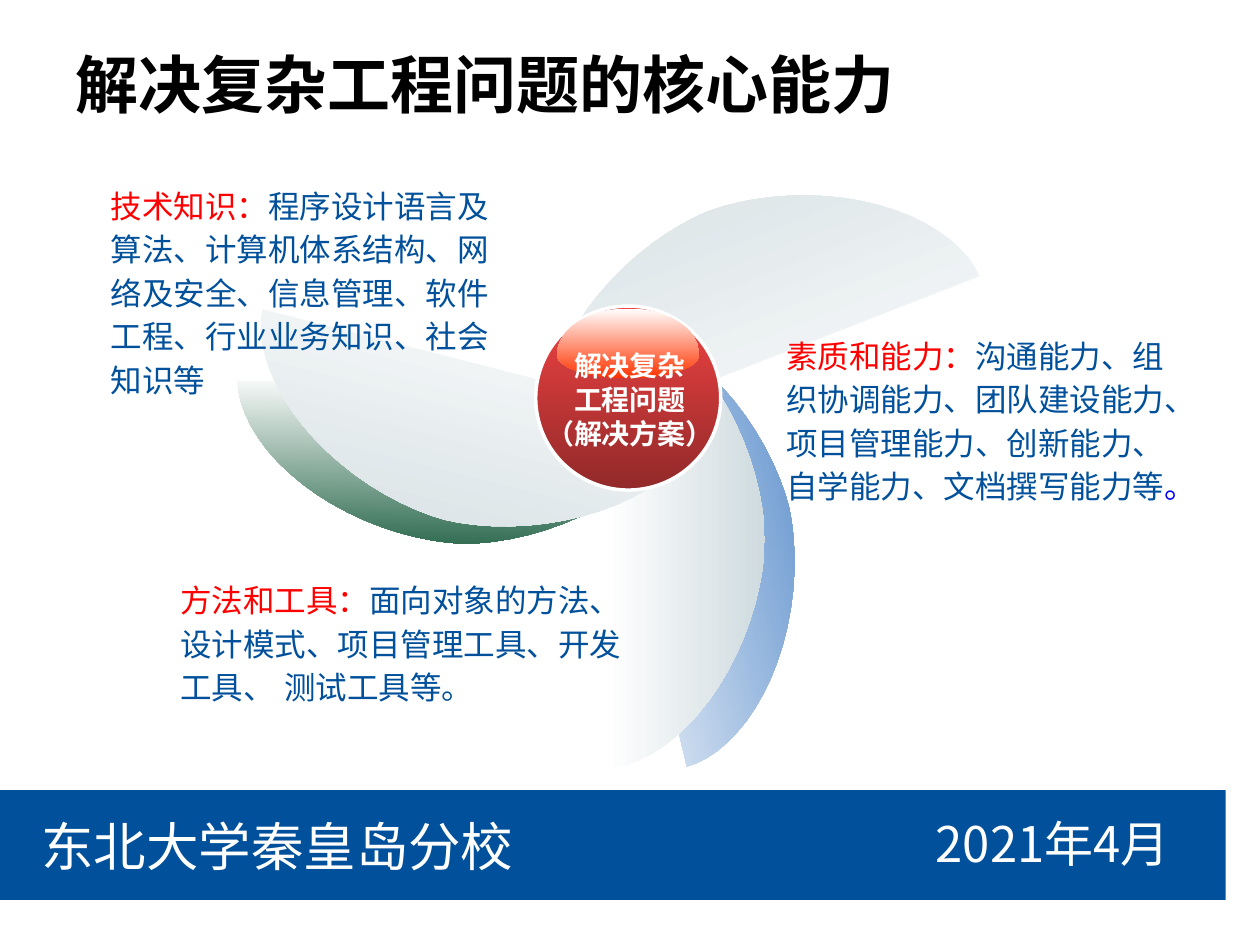
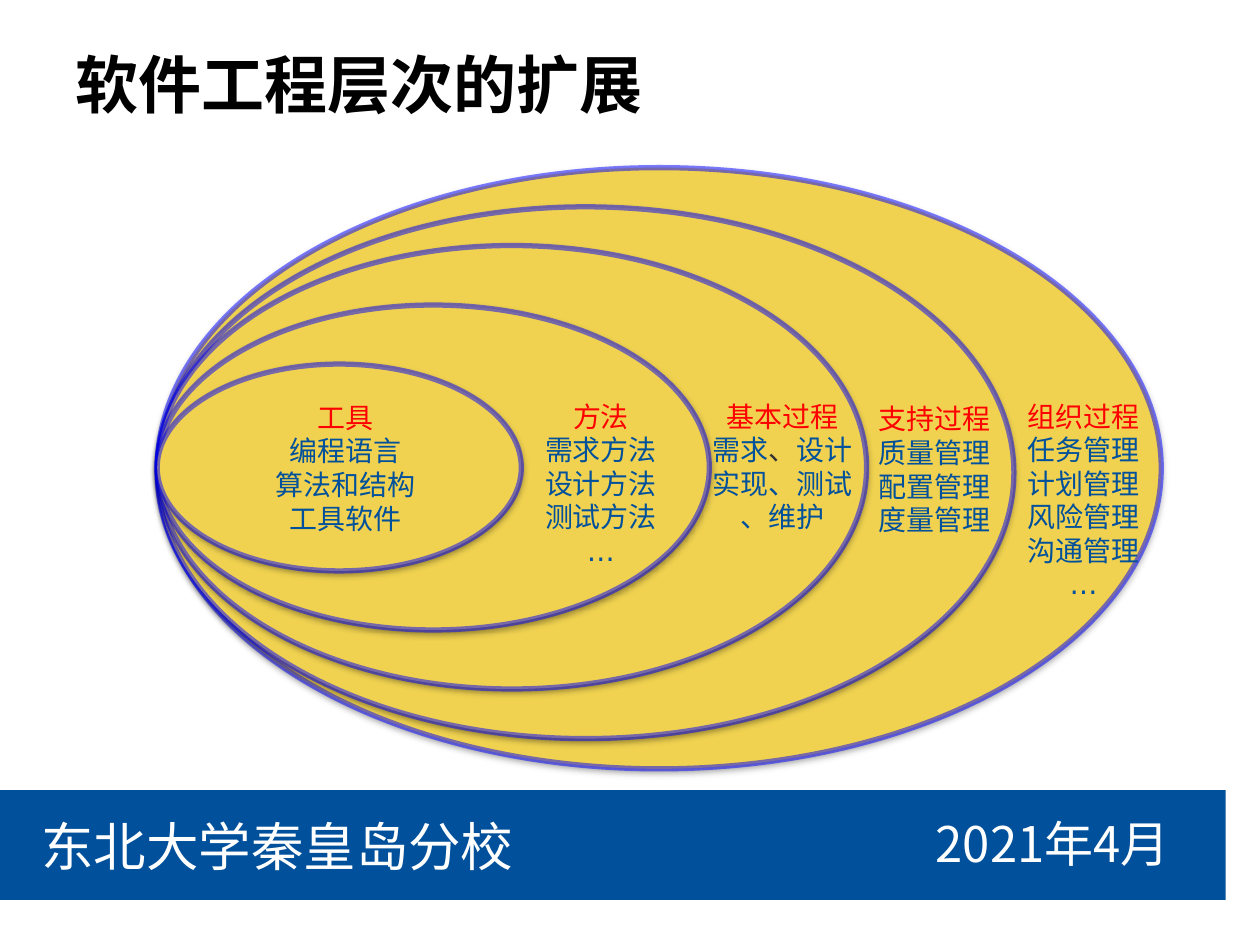
from dataclasses import dataclass
from math import cos, pi, sin

from lxml import etree
from pptx import Presentation
from pptx import util as u
from pptx.dml.color import RGBColor
from pptx.enum import shapes, text
from pptx.oxml import ns


@dataclass(frozen=True)
class Theme:
    """Colours, fonts and type sizes shared by the slides."""
    blue: str = "00509B"
    red: str = "FF0000"
    white: str = "FFFFFF"
    black: str = "000000"
    grey: str = "333333"
    outline: str = "0000FF"
    gold: str = "F0D250"
    silver: str = "CFDBDF"
    azure: str = "447EC4"
    green: str = "2A684C"
    sphere: tuple = ("F14343", "922929")
    gloss: tuple = ("FFFFFF", "FF3300")
    cjk: str = "Noto Sans CJK SC"
    body: str = "DejaVu Sans"
    title: str = "Karla"
    title_size: int = 36
    school_size: int = 30
    date_size: int = 28
    note_size: int = 18
    label_size: int = 16


T = Theme()
CENTER = text.PP_ALIGN.CENTER


def add_xml(parent, tag, **attrs):
    """Append a drawing element with the given attributes."""
    return etree.SubElement(parent, ns.qn(tag), {k: str(v) for k, v in attrs.items()})


def write(tf, paras, size, font, bold=False, align=None, spacing=None, indent=None):
    """Fill a frame with paragraphs made of (text, colour[, font]) runs."""
    tf.text = "\n".join(runs[0][0] for runs in paras)
    for p, runs in zip(tf.paragraphs, paras):
        p.alignment, p.line_spacing = align, spacing
        if indent:
            p._p.get_or_add_pPr().set("indent", str(u.Cm(indent)))
        for words, *_ in runs[1:]:
            p.add_run().text = words
        for r, (_, color, *own_font) in zip(p.runs, runs):
            name = own_font[0] if own_font else font
            r.font.size, r.font.bold = u.Pt(size), bold
            r.font.color.rgb = RGBColor.from_string(color)
            r.font.name = name
            add_xml(r._r.get_or_add_rPr(), "a:ea", typeface=name)


def add_text(s, box, paras, size, font, wrap=True, **style):
    """Place a text box and return its frame."""
    tf = s.shapes.add_textbox(*map(u.Cm, box)).text_frame
    tf.word_wrap = wrap
    write(tf, paras, size, font, **style)
    return tf


def add_preset(s, kind, box, fill=None):
    """Place a preset shape without shadow or line."""
    sp = s.shapes.add_shape(kind, *map(u.Cm, box))
    sp.shadow.inherit = False
    sp.line.fill.background()
    if fill:
        sp.fill.solid()
        sp.fill.fore_color.rgb = RGBColor.from_string(fill)
    return sp


def shade(sp, colors, angle=0):
    """Give a shape a two-colour linear gradient."""
    sp.fill.gradient()
    sp.fill.gradient_angle = angle
    for stop, color in zip(sp.fill.gradient_stops, colors):
        stop.color.rgb = RGBColor.from_string(color)


def add_outline(s, points):
    """Draw a closed outline through points in centimetres."""
    first, *rest = [(u.Cm(x), u.Cm(y)) for x, y in points]
    builder = s.shapes.build_freeform(*first)
    builder.add_line_segments(rest, close=True)
    sp = builder.convert_to_shape()
    sp.shadow.inherit = False
    sp.line.fill.background()
    return sp


def add_blade(s, x, y, turn, color):
    """Draw one half-oval blade, turned clockwise by some degrees."""
    w, h, steps, power = 3.2, 9.22, 38, 1.13
    points = []
    for i in range(steps + 1):
        a = pi * (i / steps - 0.5)
        rise = abs(sin(a)) ** power * (1 if a > 0 else -1)
        points.append((x + w * abs(cos(a)) ** power, y + h / 2 * (1 + rise)))
    sp = add_outline(s, points)
    sp.rotation = turn
    shade(sp, (T.white, color))


def add_gloss(s, x, y, w, h):
    """Draw the egg-shaped highlight of the sphere."""
    top = h * 0.67
    points = []
    for i in range(48):
        a = 2 * pi * i / 48
        ry = top if sin(a) < 0 else h - top
        points.append((x + w / 2 * (1 + cos(a)), y + top + ry * sin(a)))
    shade(add_outline(s, points), T.gloss, 270)


def add_pinwheel(s, cx, cy):
    """Draw the blades and the labelled sphere around a centre."""
    for dx, dy, turn, color in (
        (0.09, -2.03, 346.8, T.azure),
        (-4.89, -3.27, 91, T.green),
        (-0.44, -1.75, 0, T.silver),
        (-4.89, -3.7, 104.3, T.silver),
        (0.6, -6.88, 248.7, T.silver),
    ):
        add_blade(s, cx + dx, cy + dy, turn, color)
    ball = add_preset(s, shapes.MSO_SHAPE.OVAL, (cx - 1.86, cy - 1.85, 3.73, 3.71))
    shade(ball, T.sphere, 270)
    ball.line.color.rgb = RGBColor.from_string(T.white)
    ball.line.width = u.Pt(2)
    add_gloss(s, cx - 1.43, cy - 1.8, 2.87, 1.4)
    lines = ("解决复杂", "工程问题", "（解决方案）")
    add_text(s, (cx - 2.55, cy - 1.11, 5.18, 2.31), [[(t, T.white)] for t in lines],
             T.label_size, T.cjk, bold=True, align=CENTER)


def add_note(s, box, head, body, *extra):
    """Write a red heading followed by running text."""
    add_text(s, box, [[(head, T.red), (body, T.blue), *extra]],
             T.note_size, T.body, spacing=1.15)


def add_ring(s, box):
    """Draw one gold oval with a translucent line and a soft shadow."""
    sp = add_preset(s, shapes.MSO_SHAPE.OVAL, box, T.gold)
    sp.line.color.rgb = RGBColor.from_string(T.outline)
    sp.line.width = u.Pt(3)
    sp_pr = sp._element.spPr
    add_xml(sp_pr.find(".//" + ns.qn("a:ln")).find(".//" + ns.qn("a:srgbClr")),
            "a:alpha", val=49000)
    shadow = add_xml(sp_pr.find(ns.qn("a:effectLst")), "a:outerShdw",
                     blurRad=u.Pt(3.1), dist=u.Pt(1.6), dir=5400000, rotWithShape=0)
    add_xml(add_xml(shadow, "a:srgbClr", val=T.black), "a:alpha", val=38000)
    return sp


def level(head, *lines):
    """Return the paragraphs of one level: red heading, blue lines."""
    return [[(head, T.red)]] + [[(t, T.blue)] for t in lines]


def add_levels(s, x, y):
    """Draw the nested ovals and their column labels."""
    for dy, w, h in ((0, 20.24, 12.12), (0.79, 17.27, 10.72), (1.57, 14.3, 8.94),
                     (2.77, 11.13, 6.55), (3.96, 7.34, 4.17)):
        ring = add_ring(s, (x, y + dy, w, h))
    tf = ring.text_frame
    tf.word_wrap = False
    tf.vertical_anchor = text.MSO_ANCHOR.MIDDLE
    tf.margin_left = tf.margin_right = u.Cm(0.2)
    tf.margin_top = tf.margin_bottom = u.Cm(0.1)
    write(tf, level("工具", "编程语言", "算法和结构", "工具软件"),
          T.label_size, T.body, align=CENTER, indent=0.25)

    basic = level("基本过程", "需求", "实现、测试", "、维护")
    basic[1] += [("、", T.grey, T.cjk), ("设计", T.blue)]
    for dx, dy, w, h, paras in (
        (7.55, 4.54, 2.79, 3.68, level("方法", "需求方法", "设计方法", "测试方法", "…")),
        (10.93, 4.54, 3.35, 3, basic),
        (14.28, 4.6, 2.79, 3, level("支持过程", "质量管理", "配置管理", "度量管理")),
        (17.28, 4.54, 2.79, 4.37,
         level("组织过程", "任务管理", "计划管理", "风险管理", "沟通管理", "…")),
    ):
        add_text(s, (x + dx, y + dy, w, h), paras, T.label_size, T.body,
                 wrap=False, align=CENTER)


def add_footer(s, x, y, w, h):
    """Draw the blue band with the school and the date."""
    add_preset(s, shapes.MSO_SHAPE.RECTANGLE, (x, y, w, h), T.blue)
    add_text(s, (x + 0.58, y + 0.35, 10.13, 1.55), [[("东北大学秦皇岛分校", T.white)]],
             T.school_size, T.cjk, wrap=False)
    add_text(s, (x + 18.26, y + 0.35, 5.92, 1.32), [[("2021年4月", T.white)]],
             T.date_size, T.cjk, align=CENTER)


def new_slide(prs, title):
    """Add a blank slide with the shared footer and title."""
    s = prs.slides.add_slide(prs.slide_layouts[6])
    add_footer(s, 0, 15.93, 24.71, 2.21)
    tf = add_text(s, (1.27, 0.76, 22.15, 1.83), [[(title, T.black)]],
                  T.title_size, T.title, bold=True)
    tf.vertical_anchor = text.MSO_ANCHOR.MIDDLE
    return s


def abilities_slide(prs):
    """Build the slide on core abilities."""
    s = new_slide(prs, "解决复杂工程问题的核心能力")
    add_pinwheel(s, 12.66, 8.02)
    add_note(s, (3.38, 11.48, 9.45, 2.92), "方法和工具：",
             "面向对象的方法、设计模式、项目管理工具、开发工具、 测试工具等。")
    add_note(s, (1.98, 3.53, 8.48, 4.6), "技术知识：",
             "程序设计语言及算法、计算机体系结构、网络及安全、信息管理、"
             "软件工程、行业业务知识、社会知识等")
    add_note(s, (15.6, 6.55, 8.61, 3.78), "素质和能力：",
             "沟通能力、组织协调能力、团队建设能力、项目管理能力、"
             "创新能力、自学能力、文档撰写能力等", ("。", T.outline))


def levels_slide(prs):
    """Build the slide on the levels of software engineering."""
    s = new_slide(prs, "软件工程层次的扩展")
    add_levels(s, 3.17, 3.38)


def main():
    """Build and save the presentation."""
    prs = Presentation()
    prs.slide_width, prs.slide_height = u.Cm(25.4), u.Cm(19.05)
    abilities_slide(prs)
    levels_slide(prs)
    prs.save("out.pptx")


if __name__ == "__main__":
    main()
